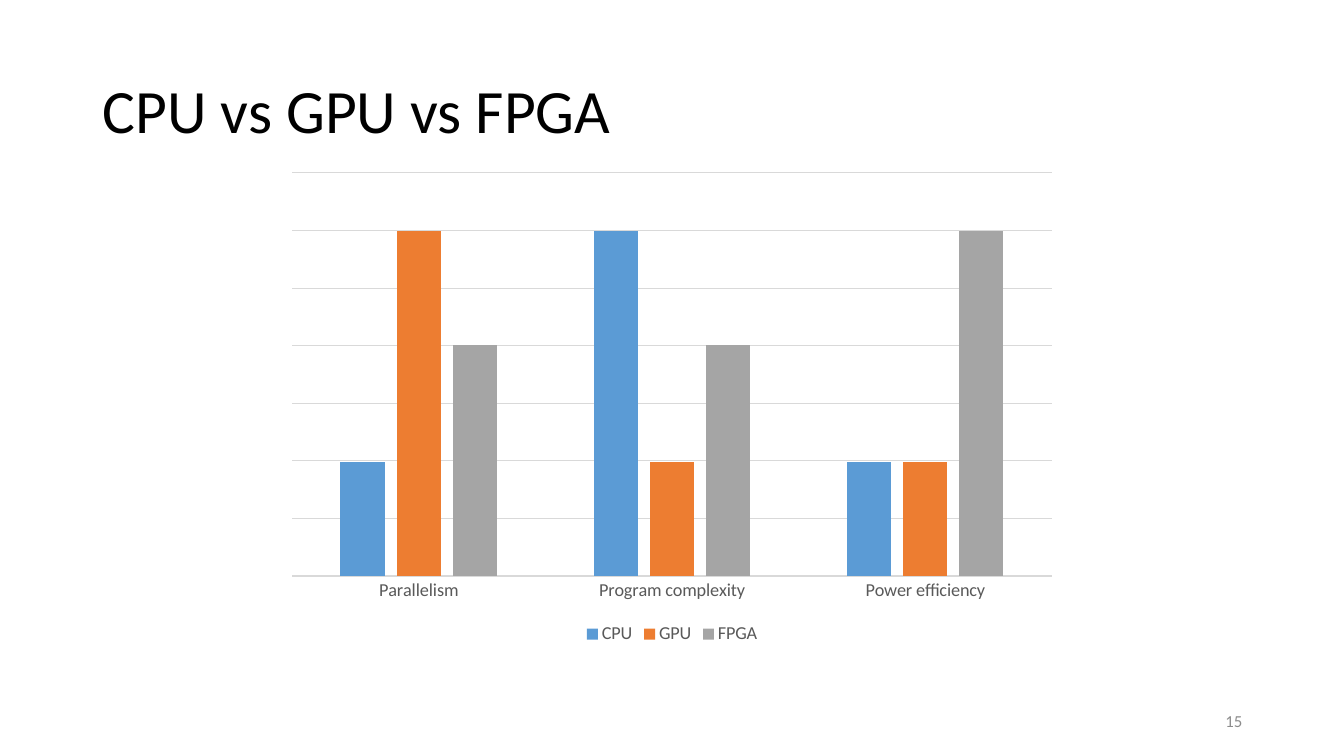
from pptx import Presentation
from pptx.chart.data import CategoryChartData
from pptx.dml.color import RGBColor
from pptx.enum.chart import XL_CHART_TYPE as ChartType, XL_LEGEND_POSITION as LegendPos
from pptx.enum.chart import XL_TICK_MARK as TickMark
from pptx.enum.text import MSO_ANCHOR as Anchor, PP_ALIGN as Align
from pptx.util import Inches, Pt

BLACK = RGBColor(0x00, 0x00, 0x00)
LABEL_GREY = RGBColor(0x59, 0x59, 0x59)
NUMBER_GREY = RGBColor(0x8C, 0x8C, 0x8C)
GRID_GREY = RGBColor(0xD9, 0xD9, 0xD9)
BLUE = RGBColor(0x5B, 0x9B, 0xD5)
ORANGE = RGBColor(0xED, 0x7D, 0x31)
GREY = RGBColor(0xA5, 0xA5, 0xA5)
FONT = "Calibri"

deck = Presentation()
deck.slide_width, deck.slide_height = Inches(13.33), Inches(7.5)
slide = deck.slides.add_slide(deck.slide_layouts[6])

# Content column shared by the title and the page number
margin = Inches(0.92)
content_width = Inches(11.5)
number_width = Inches(3)


def style_font(font, size, color):
    font.name, font.size, font.color.rgb = FONT, Pt(size), color


def add_text(text, left, top, width, height, *, size, color, align=Align.LEFT, spacing=1.0):
    frame = slide.shapes.add_textbox(left, top, width, height).text_frame
    frame.word_wrap = True
    frame.vertical_anchor = Anchor.MIDDLE
    line = frame.paragraphs[0]
    line.alignment, line.line_spacing = align, spacing
    run = line.add_run()
    run.text = text
    style_font(run.font, size, color)


# Title and page number
add_text("CPU vs GPU vs FPGA", margin, Inches(0.4), content_width, Inches(1.45),
         size=44, color=BLACK, spacing=0.9)
add_text("15", margin + content_width - number_width, Inches(6.95), number_width, Inches(0.4),
         size=12, color=NUMBER_GREY, align=Align.RIGHT)

# Ratings of each processor
ratings = [
    ("CPU", (33, 100, 33), BLUE),
    ("GPU", (100, 33, 33), ORANGE),
    ("FPGA", (67, 67, 100), GREY),
]
data = CategoryChartData()
data.categories = ["Parallelism", "Program complexity", "Power efficiency"]
for processor, scores, _ in ratings:
    data.add_series(processor, scores)

comparison = slide.shapes.add_chart(
    ChartType.COLUMN_CLUSTERED, Inches(2.74), Inches(1.62), Inches(7.85), Inches(4.82), data
).chart
comparison.has_title = False
style_font(comparison.font, 10, BLACK)

# Columns
columns = comparison.plots[0]
columns.gap_width, columns.overlap = 219, -27
columns.vary_by_categories = False
for bars, (_, _, color) in zip(columns.series, ratings):
    bars.format.fill.solid()
    bars.format.fill.fore_color.rgb = color
    bars.invert_if_negative = False

# Axes: a grid of seven steps, six of them filled by a full score
criteria = comparison.category_axis
criteria.major_tick_mark = criteria.minor_tick_mark = TickMark.NONE
style_font(criteria.tick_labels.font, 13, LABEL_GREY)

score = comparison.value_axis
score.visible = False
score.minimum_scale, score.maximum_scale, score.major_unit = 0, 116.7, 16.67
score.has_major_gridlines = True
for line in (criteria.format.line, score.major_gridlines.format.line):
    line.color.rgb, line.width = GRID_GREY, Pt(0.75)

# Legend
comparison.has_legend = True
comparison.legend.position = LegendPos.BOTTOM
comparison.legend.include_in_layout = False
style_font(comparison.legend.font, 13, LABEL_GREY)

deck.save("out.pptx")
